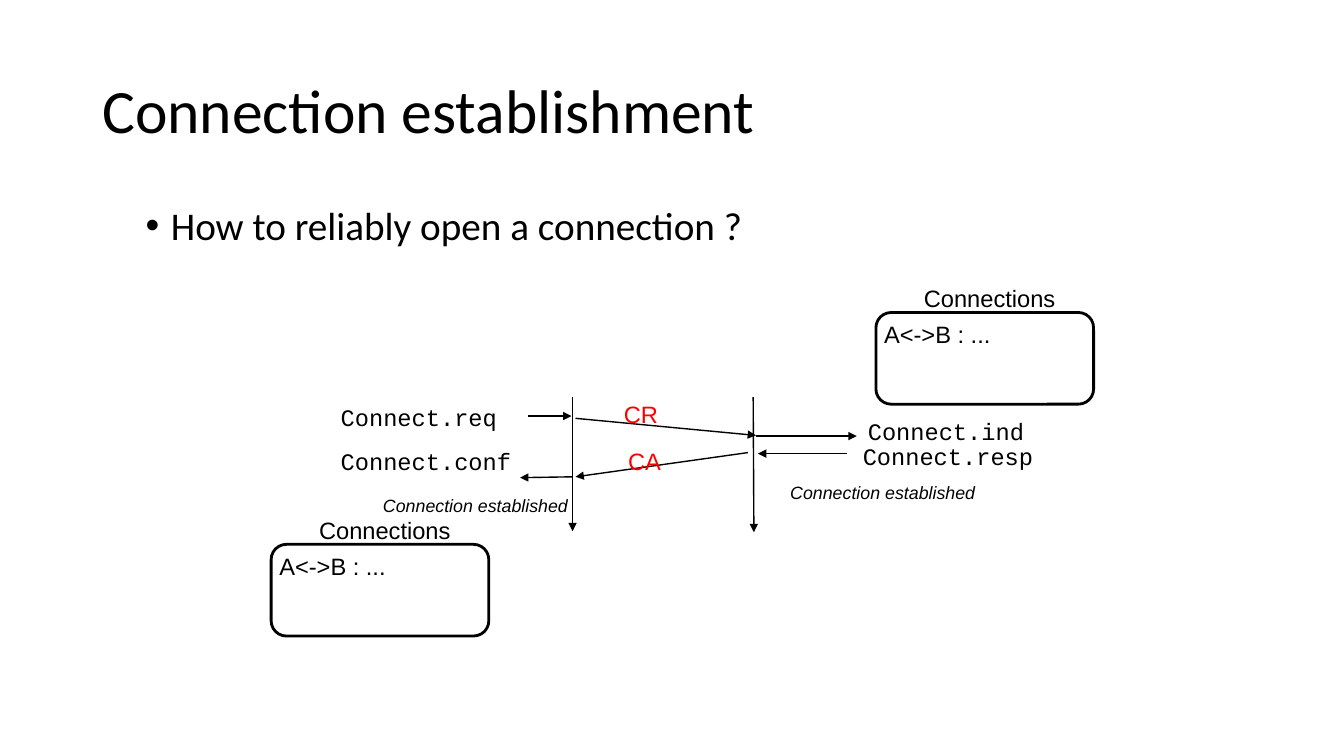
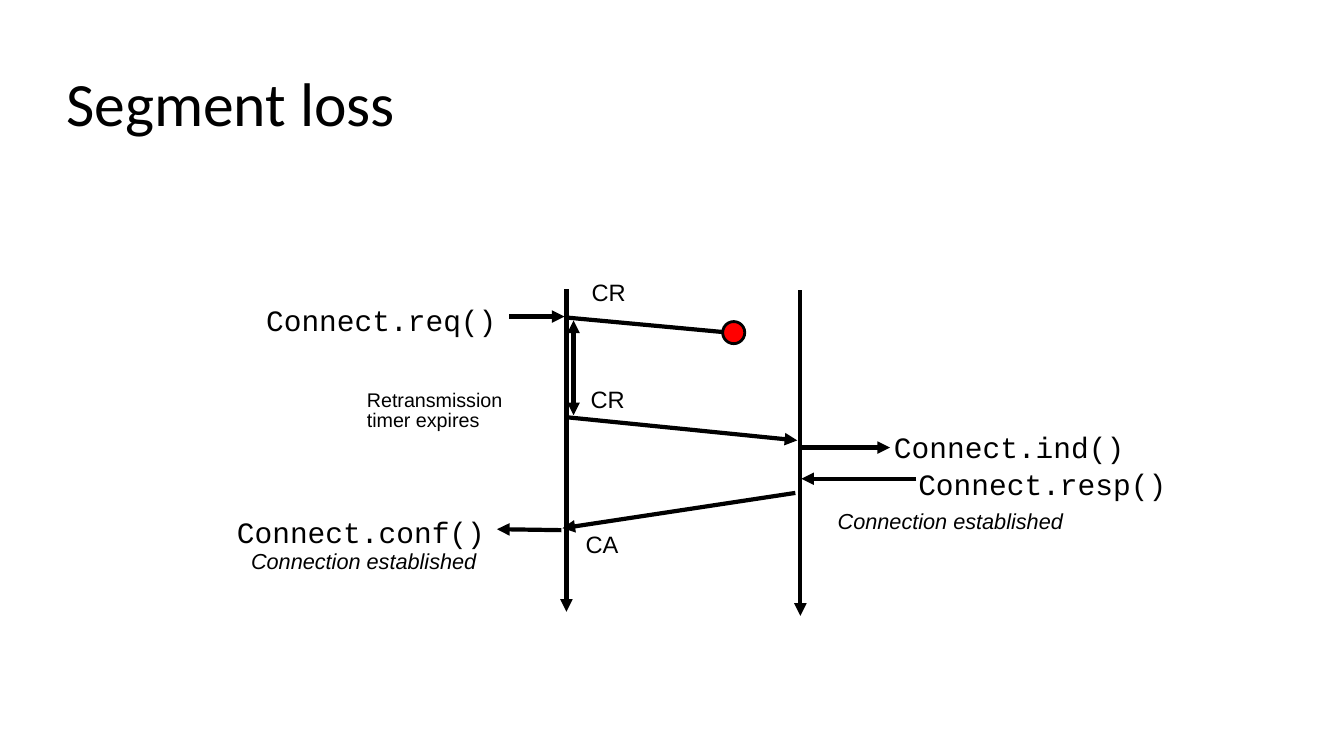
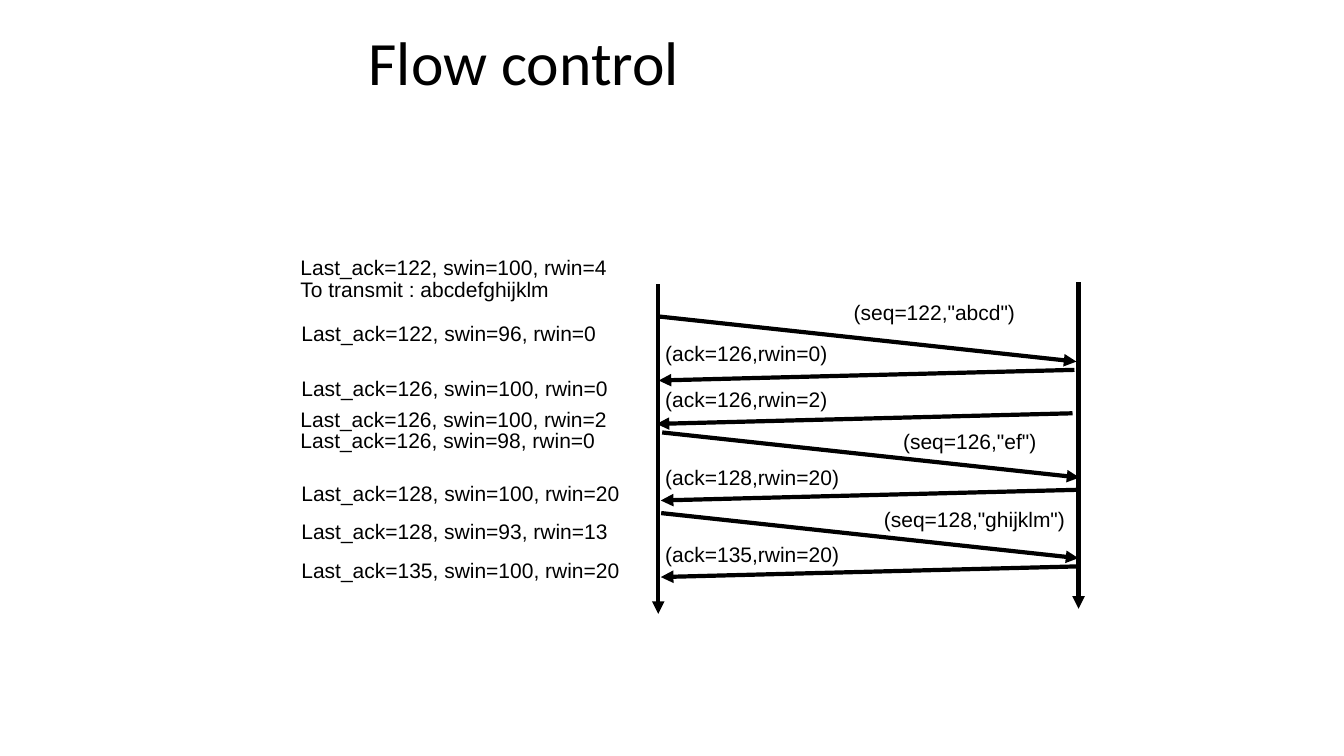
from lxml import etree
from pptx import Presentation
from pptx.dml.color import RGBColor
from pptx.enum.shapes import MSO_CONNECTOR, MSO_SHAPE
from pptx.enum.text import MSO_ANCHOR, MSO_AUTO_SIZE
from pptx.oxml.ns import qn
from pptx.util import Pt

STRAIGHT = MSO_CONNECTOR.STRAIGHT
ROUNDED = MSO_SHAPE.ROUNDED_RECTANGLE
OVAL = MSO_SHAPE.OVAL
TOP = MSO_ANCHOR.TOP
MIDDLE = MSO_ANCHOR.MIDDLE
NO_RESIZE = MSO_AUTO_SIZE.NONE
FIT_TEXT = MSO_AUTO_SIZE.SHAPE_TO_FIT_TEXT

BLACK = RGBColor(0x00, 0x00, 0x00)
RED = RGBColor(0xFF, 0x00, 0x00)
HEADING = "Calibri"
LABEL = "Arial"
CODE = "Courier New"


def write(slide, text, left, top, width, height, size, font=LABEL, color=BLACK,
          italic=False, spacing=0.84, anchor=TOP, framed=False):
    box = slide.shapes.add_textbox(Pt(left), Pt(top), Pt(width), Pt(height))
    frame = box.text_frame
    frame.word_wrap = framed
    frame.auto_size = NO_RESIZE if framed else FIT_TEXT
    frame.vertical_anchor = anchor
    if not framed:
        frame.margin_left = frame.margin_right = 0
        frame.margin_top = frame.margin_bottom = 0
    frame.text = text
    for paragraph in frame.paragraphs:
        paragraph.line_spacing = spacing
        paragraph.font.name = font
        paragraph.font.size = Pt(size)
        paragraph.font.color.rgb = color
        paragraph.font.italic = italic
    return frame


def draw_arrow(slide, x1, y1, x2, y2, weight, ends=("tailEnd",)):
    arrow = slide.shapes.add_connector(STRAIGHT, Pt(x1), Pt(y1), Pt(x2), Pt(y2))
    arrow.line.color.rgb = BLACK
    arrow.line.width = Pt(weight)
    outline = arrow.line._get_or_add_ln()
    for end in ends:
        etree.SubElement(outline, qn("a:" + end), type="triangle")
    etree.SubElement(arrow._element.spPr, qn("a:effectLst"))


deck = Presentation()
deck.slide_width = Pt(960)
deck.slide_height = Pt(540)

slides = []
for title, left, top, width, height, spacing in [
    ("Connection establishment", 66, 28.8, 828, 104.4, 0.9),
    ("Segment loss", 40.3, 29.5, 532.8, 95, 0.84),
    ("Flow control", 256.3, 0, 563.8, 95, 0.84),
]:
    slide = deck.slides.add_slide(deck.slide_layouts[6])
    write(slide, title, left, top, width, height, 44, HEADING,
          spacing=spacing, anchor=MIDDLE, framed=True)
    slides.append(slide)
establishment, loss, flow = slides

question = write(establishment, "How to reliably open a connection ?",
                 66, 144, 828, 342.7, 28, HEADING, spacing=0.9, framed=True).paragraphs[0]
question.space_before = Pt(10)
indents = question._p.get_or_add_pPr()
indents.set("marL", str(Pt(49)))
indents.set("indent", str(Pt(-18)))
text_style = indents.find(qn("a:defRPr"))
for tag, setting in [("a:buFont", {"typeface": LABEL}), ("a:buChar", {"char": "•"})]:
    text_style.addprevious(etree.SubElement(indents, qn(tag), setting))

for x1, y1, x2, y2 in [
    (377.3, 297.2, 408.2, 297.2),
    (540, 311.5, 612, 311.5),
    (411.1, 298.8, 540, 311),
    (534.2, 323.3, 411.1, 340.6),
    (409, 283.7, 409, 379.4),
    (538, 283.7, 538.5, 380.2),
    (604.8, 324, 541.4, 324),
    (409, 340.6, 371.5, 341.2),
]:
    draw_arrow(establishment, x1, y1, x2, y2, 1)

for primitive, left, top, width in [
    ("Connect.req", 243.4, 290.9, 112.3),
    ("Connect.ind", 619.9, 301, 112.3),
    ("Connect.resp", 616.3, 319, 122.4),
    ("Connect.conf", 243.4, 322.6, 122.4),
]:
    write(establishment, primitive, left, top, width, 18, 16.9, CODE)

for segment, left, top in [("CR", 445.7, 288.7), ("CA", 448.6, 322.6)]:
    write(establishment, segment, left, top, 30, 17.3, 16.9, color=RED)

for left, top in [(564.5, 344.9), (273.6, 354.2)]:
    write(establishment, "Connection established", left, top, 132.5, 15.1, 12.7,
          italic=True, spacing=0.97)

for left, top in [(625.7, 223.2), (193.7, 388.8)]:
    table = establishment.shapes.add_shape(ROUNDED, Pt(left), Pt(top), Pt(155.5), Pt(65.5))
    table.shadow.inherit = False
    table.fill.background()
    table.line.color.rgb = BLACK
    table.line.width = Pt(2)
    write(establishment, "Connections", left + 34.2, top - 17, 94.3, 17.3, 16.9)
    write(establishment, "A<->B : ...", left + 5.8, top + 8.6, 76.3, 17.3, 16.9)

for x1, y1, x2, y2 in [
    (363.6, 226.1, 403.2, 226.1),
    (573.1, 319.7, 635.8, 319.7),
    (568.1, 352.1, 401.8, 377.3),
    (401, 378.7, 355, 378),
    (404.6, 206.6, 404.6, 437),
    (571.7, 207.4, 571.7, 439.9),
    (404.6, 226.8, 528.5, 238.3),
    (405.4, 298.1, 569.5, 314.6),
    (654.5, 342, 572.4, 342),
]:
    draw_arrow(loss, x1, y1, x2, y2, 3)
draw_arrow(loss, 409.7, 229, 409.7, 296.6, 3, ("headEnd", "tailEnd"))

lost_segment = loss.shapes.add_shape(OVAL, Pt(516.2), Pt(229.7), Pt(15.8), Pt(15.8))
lost_segment.shadow.inherit = False
lost_segment.fill.solid()
lost_segment.fill.fore_color.rgb = RED
lost_segment.line.color.rgb = BLACK
lost_segment.line.width = Pt(2)

for primitive, left, top, width in [
    ("Connect.req()", 190.1, 218.9, 165.6),
    ("Connect.ind()", 638.6, 309.6, 165.6),
    ("Connect.conf()", 169.2, 370.8, 178.6),
    ("Connect.resp()", 655.9, 336.2, 178.6),
]:
    write(loss, primitive, left, top, width, 22.3, 21.1, CODE, anchor=MIDDLE)

for segment, left, top in [("CR", 422.6, 201.6), ("CR", 421.9, 277.9), ("CA", 418.3, 381.6)]:
    write(loss, segment, left, top, 30, 17.3, 16.9, anchor=MIDDLE)

for left, top in [(598.3, 363.6), (179.3, 392.4)]:
    write(loss, "Connection established", left, top, 162, 18, 15.5,
          italic=True, spacing=0.97, anchor=MIDDLE)
write(loss, "Retransmission\ntimer expires", 262.1, 279.4, 101.5, 28.8, 14.1, anchor=MIDDLE)

draw_arrow(flow, 470.2, 203, 470.2, 438.5, 3)
draw_arrow(flow, 770.4, 201.6, 770.4, 434.9, 3)

for segment, x, y, run, drop, left, top, width in [
    ('(seq=122,"abcd")', 470.9, 226.1, 298, 32.2, 609.8, 216.7, 116.6),
    ("(ack=126,rwin=0)", 767.5, 264.2, -297, 7.6, 475.2, 245.5, 117),
    ("(ack=126,rwin=2)", 766.1, 295.2, -297, 7.6, 475.2, 278.6, 117),
    ('(seq=126,"ef")', 473, 308.9, 298, 32.2, 645.1, 308.9, 96.5),
    ("(ack=128,rwin=20)", 769, 349.9, -297, 7.6, 475.2, 334.1, 125.3),
    ('(seq=128,"ghijklm")', 472.3, 366.5, 298, 32.2, 631.4, 364.3, 130.3),
    ("(ack=135,rwin=20)", 769, 404.6, -297, 7.6, 475.2, 389.5, 125.3),
]:
    draw_arrow(flow, x, y, x + run, y + drop, 3)
    write(flow, segment, left, top, width, 15.8, 15, anchor=MIDDLE)

for state, left, top, width, height in [
    ("Last_ack=122, swin=100, rwin=4\nTo transmit : abcdefghijklm", 214.6, 184.3, 223.2, 31.7),
    ("Last_ack=122, swin=96, rwin=0", 215.3, 231.8, 212.4, 15.8),
    ("Last_ack=126, swin=100, rwin=0", 215.3, 270.7, 221, 15.8),
    ("Last_ack=126, swin=100, rwin=2\nLast_ack=126, swin=98, rwin=0", 214.6, 292.3, 223.2, 31.7),
    ("Last_ack=128, swin=100, rwin=20", 215.3, 345.6, 229.7, 15.8),
    ("Last_ack=128, swin=93, rwin=13", 215.3, 373, 221, 15.8),
    ("Last_ack=135, swin=100, rwin=20", 215.3, 401, 229.7, 15.8),
]:
    write(flow, state, left, top, width, height, 15, anchor=MIDDLE)

deck.save("out.pptx")
